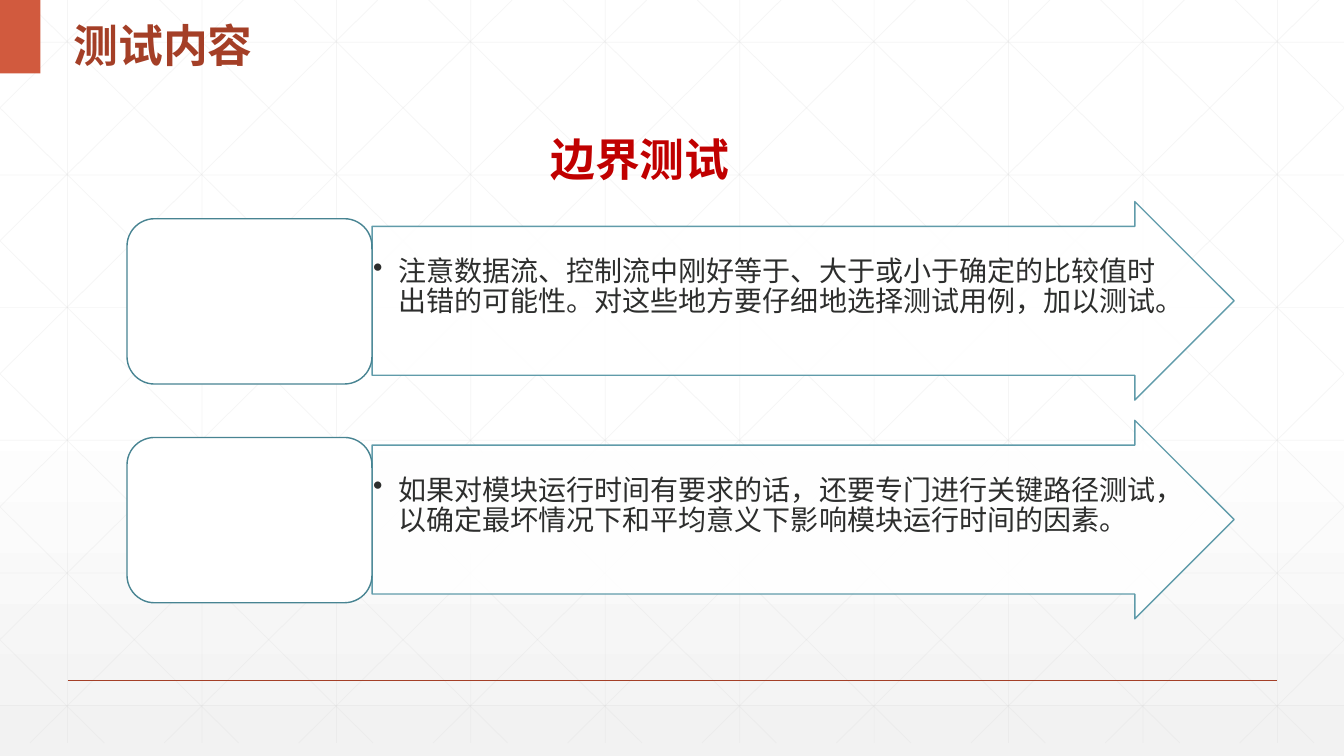
from lxml.etree import SubElement
from pptx import Presentation
from pptx.dml.color import RGBColor
from pptx.enum.shapes import MSO_CONNECTOR, MSO_SHAPE
from pptx.enum.text import MSO_ANCHOR, PP_ALIGN
from pptx.oxml.ns import qn
from pptx.util import Pt

PX = 9144  # EMU per px, 100 px to the inch
WIDE, HIGH = 1333, 750
COLORS = {
    "white": "FFFFFF", "mist": "F2F2F2", "grid": "D9D9D9",
    "rust": "A43F27", "tab": "D15A3E", "red": "C00000",
    "arrow": "4F91A1", "box": "488492", "ink": "2D2E2D",
}
POINTS = [
    "注意数据流、控制流中刚好等于、大于或小于确定的比较值时出错的可能性。"
    "对这些地方要仔细地选择测试用例，加以测试。",
    "如果对模块运行时间有要求的话，还要专门进行关键路径测试，"
    "以确定最坏情况下和平均意义下影响模块运行时间的因素。",
]


def emu(*sizes):
    return [round(size * PX) for size in sizes]


def rgb(name):
    return RGBColor.from_string(COLORS[name])


def fade(part, percent):
    """Set the opacity of a solid fill inside a fill or line element."""
    color = part.find(qn("a:solidFill"))[0]
    SubElement(color, qn("a:alpha"), val=str(percent * 1000))


def add_line(slide, ends, color, width, alpha=100):
    line = slide.shapes.add_connector(MSO_CONNECTOR.STRAIGHT, *emu(*ends))
    line.line.color.rgb = rgb(color)
    line.line.width = Pt(width)
    props = line._element.spPr
    if alpha < 100:
        fade(props.find(qn("a:ln")), alpha)
    SubElement(props, qn("a:effectLst"))


def add_form(slide, kind, area, fill, edge=None):
    form = slide.shapes.add_shape(kind, *emu(*area))
    form.shadow.inherit = False
    form.fill.solid()
    form.fill.fore_color.rgb = rgb(fill)
    if edge:
        form.line.color.rgb = rgb(edge)
        form.line.width = Pt(1)
    else:
        form.line.fill.background()
    return form


def add_text(slide, area, text, size, color, face="Arial", bold=False,
             space=1.3, inset=(10, 5), anchor=MSO_ANCHOR.TOP, bullet=False):
    frame = slide.shapes.add_textbox(*emu(*area)).text_frame
    frame.word_wrap = True
    frame.vertical_anchor = anchor
    side, top = emu(*inset)
    frame.margin_left = frame.margin_right = side
    frame.margin_top = frame.margin_bottom = top
    para = frame.paragraphs[0]
    para.text = text
    para.alignment = PP_ALIGN.LEFT
    para.line_spacing = space
    if bullet:
        props = para._p.get_or_add_pPr()
        indent = 25 * PX
        props.set("marL", str(indent))
        props.set("indent", str(-indent))
        SubElement(props, qn("a:buChar"), char="•")
    font = para.font
    font.name, font.size, font.bold = face, Pt(size), bold
    font.color.rgb = rgb(color)


def add_grid(slide):
    low, step, lean = 737, 400 / 3, 745 / 737
    ends = [(67 + step * i, 0, 67 + step * i, low) for i in range(10)]
    ends += [(0, 42 + 131.6 * i, WIDE, 42 + 131.6 * i) for i in range(6)]
    # Diagonals, cut at the slide edges, each with its mirror image
    for i in range(-5, 10):
        start = 25 + step * i
        top = max(0, -start / lean)
        end = min(low, (WIDE - start) / lean)
        left, right = start + top * lean, start + end * lean
        ends += [(left, top, right, end),
                 (WIDE - left, top, WIDE - right, end)]
    for line in ends:
        add_line(slide, line, "grid", 0.5, 25)


def add_point(slide, top, text):
    arrow = add_form(slide, MSO_SHAPE.RIGHT_ARROW, (369, top, 855, 197),
                     "white", "arrow")
    arrow.adjustments[0], arrow.adjustments[1] = 0.75, 0.5
    props = arrow._element.spPr
    fade(props, 90)
    fade(props.find(qn("a:ln")), 90)
    add_text(slide, (369, top + 25, 781, 148), text, 20, "ink",
             space=0.9, inset=(1, 32), bullet=True)
    add_form(slide, MSO_SHAPE.ROUNDED_RECTANGLE, (126, top + 17, 243, 164),
             "white", "box")


def main():
    deck = Presentation()
    deck.slide_width, deck.slide_height = emu(WIDE, HIGH)
    slide = deck.slides.add_slide(deck.slide_layouts[6])

    # Background: white, then a pale grey towards the foot
    fill = slide.background.fill
    fill.gradient()
    fill.gradient_angle = 270
    for stop, place, color in zip(fill.gradient_stops, (0.53, 1),
                                  ("white", "mist")):
        stop.position = place
        stop.color.rgb = rgb(color)
    add_grid(slide)

    # Foot rule, corner tab and title
    add_line(slide, (67, 675, 1267, 675), "rust", 1)
    add_form(slide, MSO_SHAPE.RECTANGLE, (0, 0, 40, 73), "tab")
    add_text(slide, (63, 0, 569, 73), "测试内容", 32, "rust", bold=True,
             anchor=MSO_ANCHOR.MIDDLE)

    # Arrows with their boxes
    for i, text in enumerate(POINTS):
        add_point(slide, 200 + 217 * i, text)
    add_text(slide, (536, 110, 417, 76), "边界测试", 32, "red",
             face="Noto Sans CJK SC", bold=True)

    deck.save("out.pptx")


if __name__ == "__main__":
    main()
